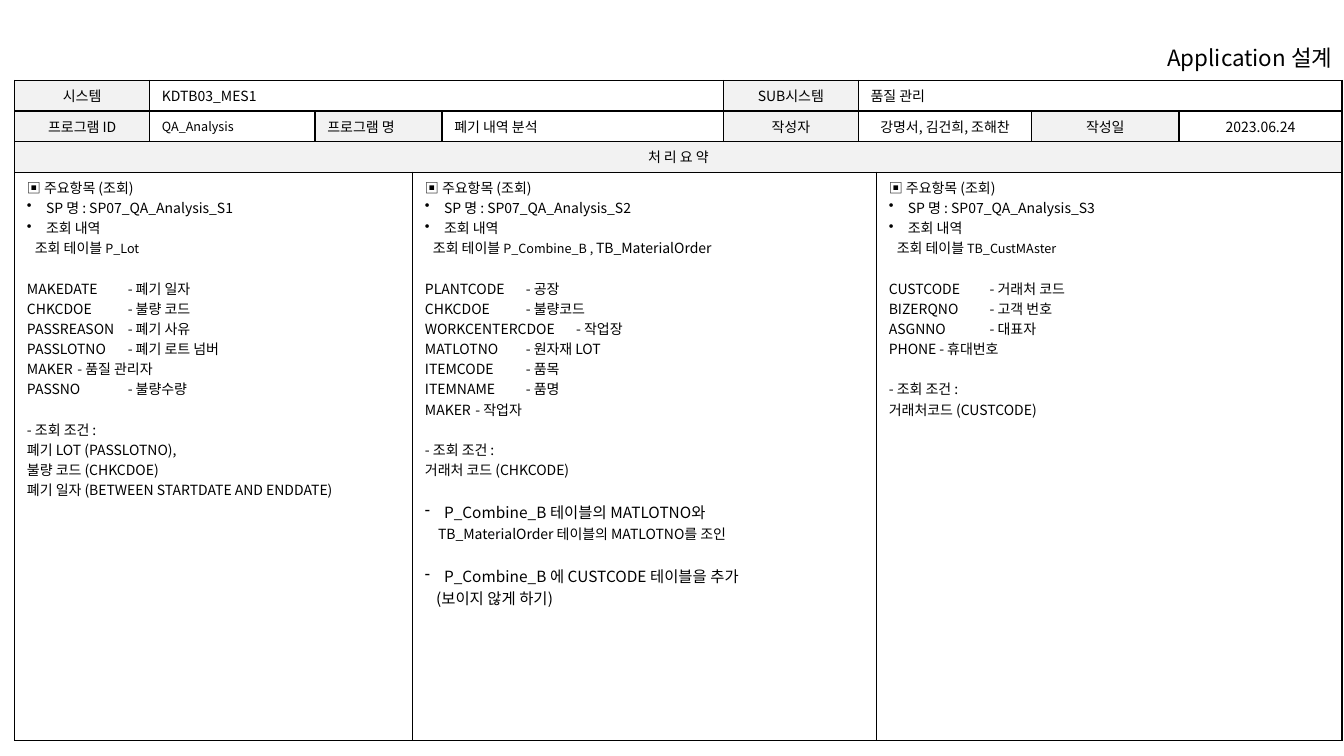
import pptx
import pptx.dml.color
import pptx.enum.text
import pptx.oxml.ns
import pptx.util
from lxml import etree

Cm = pptx.util.Cm
Pt = pptx.util.Pt
qn = pptx.oxml.ns.qn
ALIGN = pptx.enum.text.PP_ALIGN
ANCHOR = pptx.enum.text.MSO_ANCHOR

# Content
TITLE = "Application 설계"

# Header cells: row, first column, columns spanned, text, centred, shaded, size
HEADER_CELLS = [
    (0, 0, 1, "시스템", True, True, 10),
    (0, 1, 4, "KDTB03_MES1", False, False, 10),
    (0, 5, 1, "SUB시스템", True, True, 10),
    (0, 6, 4, "품질 관리", False, False, 10),
    (1, 0, 1, "프로그램 ID", True, True, 10),
    (1, 1, 1, "QA_Analysis", False, False, 9),
    (1, 2, 2, "프로그램 명", False, True, 10),
    (1, 4, 1, "폐기 내역 분석", False, False, 10),
    (1, 5, 1, "작성자", True, True, 10),
    (1, 6, 2, "강명서, 김건희, 조해찬", True, False, 10),
    (1, 8, 1, "작성일", True, True, 10),
    (1, 9, 1, "2023.06.24", True, False, 10),
    (2, 0, 10, "처 리 요 약", True, True, 10),
]

# Summaries: first column, columns spanned, procedure, source tables with
# sizes, tab position in cm, fields, closing lines as (style, text)
SUMMARIES = [
    (0, 3, "SP07_QA_Analysis_S1", [("P_Lot", 9)], 2.4,
     [("MAKEDATE", "폐기 일자"), ("CHKCDOE", "불량 코드"),
      ("PASSREASON", "폐기 사유"), ("PASSLOTNO", "폐기 로트 넘버"),
      ("MAKER", "품질 관리자"), ("PASSNO", "불량수량")],
     [("plain", "폐기 LOT (PASSLOTNO),"),
      ("plain", "불량 코드 (CHKCDOE)"),
      ("plain", "폐기 일자 (BETWEEN STARTDATE AND ENDDATE)")]),
    (3, 4, "SP07_QA_Analysis_S2",
     [("P_Combine_B , ", 9), ("TB_MaterialOrder", 10)], 3.55,
     [("PLANTCODE", "공장"), ("CHKCDOE", "불량코드"),
      ("WORKCENTERCDOE", "작업장"), ("MATLOTNO", "원자재 LOT"),
      ("ITEMCODE", "품목"), ("ITEMNAME", "품명"), ("MAKER", "작업자")],
     [("plain", "거래처 코드 (CHKCODE)"),
      ("dash", "P_Combine_B 테이블의 MATLOTNO와"),
      ("dash detail", "TB_MaterialOrder 테이블의 MATLOTNO를 조인"),
      ("dash", "P_Combine_B 에 CUSTCODE 테이블을 추가"),
      ("dash note", "(보이지 않게 하기)")]),
    (7, 3, "SP07_QA_Analysis_S3", [("TB_CustMAster", 9)], 3.4,
     [("CUSTCODE", "거래처 코드"), ("BIZERQNO", "고객 번호"),
      ("ASGNNO", "대표자"), ("PHONE", "휴대번호")],
     [("plain", "거래처코드 (CUSTCODE)")]),
]

# Styles: size, left margin cm, first-line indent cm, bullet, space before pt
STYLES = {
    "plain": (10, 0, 0, None, 0),
    "opening": (10, 0, 0, None, 14.4),
    "bullet": (10, 0.48, -0.48, "•", 0),
    "tables": (10, 0.2, 0, None, 0),
    "dash": (11, 0.48, -0.48, "-", 15),
    "dash detail": (10, 0.33, 0, None, 0),
    "dash note": (11, 0.28, 0, None, 0),
}

COLUMN_WIDTHS = [3.4, 4.17, 2.46, 0.74, 7.09, 3.4, 0.46, 3.91, 3.71, 4.11]
ROW_HEIGHTS = [0.71, 0.71, 0.71, 14.33]
FONT = "Noto Sans CJK KR"
BLACK = pptx.dml.color.RGBColor(0x00, 0x00, 0x00)
WHITE = pptx.dml.color.RGBColor(0xFF, 0xFF, 0xFF)
LABEL_GREY = pptx.dml.color.RGBColor(0xF2, 0xF2, 0xF2)


def add_run(paragraph, text, size):
    run = paragraph.add_run()
    run.text = text
    run.font.size = Pt(size)
    run.font.name = FONT
    run.font.color.rgb = BLACK
    east_asian = etree.SubElement(run.font._element, qn("a:ea"))
    east_asian.set("typeface", FONT)


def add_borders(cell):
    properties = cell._tc.get_or_add_tcPr()
    for side in ("a:lnL", "a:lnR", "a:lnT", "a:lnB"):
        line = etree.SubElement(properties, qn(side), w=str(Pt(1)))
        fill = etree.SubElement(line, qn("a:solidFill"))
        etree.SubElement(fill, qn("a:srgbClr"), val=str(BLACK))


def format_paragraph(paragraph, style, tab):
    size, left, indent, bullet, before = STYLES[style]
    paragraph.space_before = Pt(before)
    properties = paragraph._p.get_or_add_pPr()
    properties.set("marL", str(Cm(left)))
    properties.set("indent", str(Cm(indent)))
    if bullet:
        etree.SubElement(properties, qn("a:buChar"), char=bullet)
    if tab:
        tabs = etree.SubElement(properties, qn("a:tabLst"))
        etree.SubElement(tabs, qn("a:tab"), pos=str(Cm(tab)), algn="l")
    return size


def summary_lines(procedure, sources, tab, fields, closing):
    """Yield style, runs and tab position for each line of a summary."""
    yield "plain", [("▣ 주요항목 (조회)", 10)], None
    yield "bullet", [("SP 명 : " + procedure, 10)], None
    yield "bullet", [("조회 내역", 10)], None
    yield "tables", [("조회 테이블 ", 10)] + sources, None
    for number, (code, meaning) in enumerate(fields):
        style = "plain" if number else "opening"
        yield style, [(f"{code}\t- {meaning}", 10)], tab
    yield "opening", [("- 조회 조건 :", 10)], None
    for style, text in closing:
        yield style, [(text, STYLES[style][0])], None


def merge_across(table, row, column, span):
    cell = table.cell(row, column)
    if span > 1:
        cell.merge(table.cell(row, column + span - 1))
    return cell


def main():
    presentation = pptx.Presentation()
    presentation.slide_width = Cm(33.87)
    presentation.slide_height = Cm(19.05)
    slide = presentation.slides.add_slide(presentation.slide_layouts[5])

    # Title
    title = slide.shapes.title
    title.left, title.top, title.width, title.height = (
        Cm(26.29), Cm(1.02), Cm(7.54), Cm(0.84))
    frame = title.text_frame
    frame.auto_size = pptx.enum.text.MSO_AUTO_SIZE.NONE
    frame.vertical_anchor = ANCHOR.MIDDLE
    frame.paragraphs[0].alignment = ALIGN.RIGHT
    add_run(frame.paragraphs[0], TITLE, 16)

    # Table grid
    table = slide.shapes.add_table(
        len(ROW_HEIGHTS), len(COLUMN_WIDTHS), Cm(0.37), Cm(2.03),
        Cm(sum(COLUMN_WIDTHS)), Cm(sum(ROW_HEIGHTS))).table
    table.first_row = table.horz_banding = False
    for column, width in zip(table.columns, COLUMN_WIDTHS):
        column.width = Cm(width)
    for row, height in zip(table.rows, ROW_HEIGHTS):
        row.height = Cm(height)
    for cell in table.iter_cells():
        add_borders(cell)
        cell.fill.solid()
        cell.fill.fore_color.rgb = WHITE
        cell.margin_left = cell.margin_right = Cm(0.31)
        cell.margin_top = cell.margin_bottom = Cm(0.13)

    # Header cells
    for row, column, span, text, centred, shaded, size in HEADER_CELLS:
        cell = merge_across(table, row, column, span)
        cell.vertical_anchor = ANCHOR.MIDDLE
        if shaded:
            cell.fill.fore_color.rgb = LABEL_GREY
        paragraph = cell.text_frame.paragraphs[0]
        paragraph.alignment = ALIGN.CENTER if centred else ALIGN.LEFT
        add_run(paragraph, text, size)

    # Processing summaries
    for column, span, *details in SUMMARIES:
        cell = merge_across(table, len(ROW_HEIGHTS) - 1, column, span)
        cell.vertical_anchor = ANCHOR.TOP
        frame = cell.text_frame
        for number, (style, runs, tab) in enumerate(summary_lines(*details)):
            paragraph = frame.add_paragraph() if number else frame.paragraphs[0]
            format_paragraph(paragraph, style, tab)
            for text, size in runs:
                add_run(paragraph, text, size)

    presentation.save("out.pptx")


if __name__ == "__main__":
    main()
